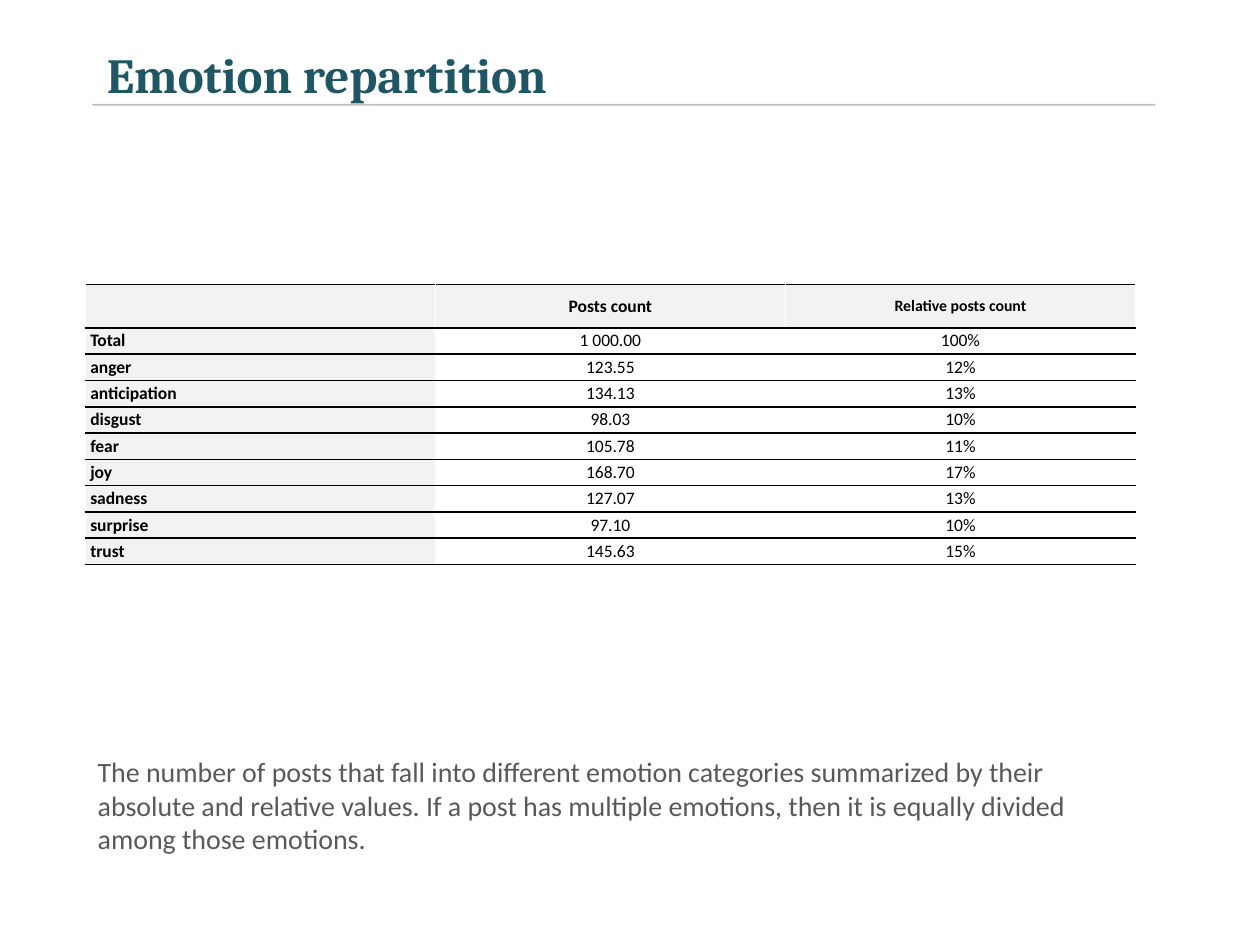
from pptx import Presentation
from pptx.dml.color import RGBColor
from pptx.enum.shapes import MSO_CONNECTOR
from pptx.enum.text import MSO_ANCHOR, MSO_AUTO_SIZE, PP_ALIGN
from pptx.oxml import parse_xml
from pptx.oxml.ns import nsdecls
from pptx.util import Cm, Pt

# Content
TITLE = "Emotion repartition"
HEAD = ("", "Posts count", "Relative posts count")
ROWS = [
    ("Total", "1 000.00", "100%"),
    ("anger", "123.55", "12%"),
    ("anticipation", "134.13", "13%"),
    ("disgust", "98.03", "10%"),
    ("fear", "105.78", "11%"),
    ("joy", "168.70", "17%"),
    ("sadness", "127.07", "13%"),
    ("surprise", "97.10", "10%"),
    ("trust", "145.63", "15%"),
]
NOTE = ("The number of posts that fall into different emotion categories "
        "summarized by their absolute and relative values. If a post has "
        "multiple emotions, then it is equally divided among those emotions.")

# Layout in cm
LEFT, WIDE = 1.72, 21.17
TOP, HEAD_H, ROW_H = 5.74, 0.87, 0.53


def rgb(code):
    return RGBColor.from_string(code)


def style(par, size, color, face="Calibri", bold=False, align=PP_ALIGN.LEFT):
    par.alignment = align
    font = par.font
    font.name, font.size, font.bold = face, Pt(size), bold
    font.color.rgb = rgb(color)


def rule(cell, side):
    """Draw a thin black border on one side of a cell."""
    line = parse_xml(
        f'<a:{side} {nsdecls("a")} w="12700"><a:solidFill>'
        f'<a:srgbClr val="000000"/></a:solidFill></a:{side}>')
    props = cell._tc.get_or_add_tcPr()
    props.insert(0 if side == "lnT" else 1, line)


def fill_cell(cell, text, row, col):
    label = col == 0
    cell.fill.solid()
    cell.fill.fore_color.rgb = rgb("F2F2F2" if label or row == 0 else "FFFFFF")
    cell.vertical_anchor = MSO_ANCHOR.MIDDLE
    cell.margin_left = Cm(0.1 if label else 0)
    cell.margin_right = Cm(0)
    cell.margin_top = cell.margin_bottom = Cm(0.05)
    rule(cell, "lnT")
    rule(cell, "lnB")
    if text:
        cell.text = text
        style(cell.text_frame.paragraphs[0],
              9 if (row, col) == (0, 2) else 10, "000000",
              bold=label or row == 0,
              align=PP_ALIGN.LEFT if label else PP_ALIGN.CENTER)


deck = Presentation()
deck.slide_width, deck.slide_height = Cm(25.4), Cm(19.05)
slide = deck.slides.add_slide(deck.slide_layouts[5])
shapes = slide.shapes

# Title
title = shapes.title
title.left, title.top, title.width, title.height = (
    Cm(1.9), Cm(0), Cm(21.17), Cm(2.11))
frame = title.text_frame
frame.text = TITLE
frame.word_wrap = True
frame.auto_size = MSO_AUTO_SIZE.SHAPE_TO_FIT_TEXT
frame.vertical_anchor = MSO_ANCHOR.TOP
frame.margin_top, frame.margin_bottom = Cm(0.9), Cm(0)
style(frame.paragraphs[0], 28, "205564", "Cambria", True)

# Line under the title
line = shapes.add_connector(MSO_CONNECTOR.STRAIGHT,
                            Cm(1.86), Cm(2.11), Cm(23.29), Cm(2.11))
line.line.width = Pt(1)
line.line.color.rgb = rgb("7F7F7F")
shade = line.line.color._xFill.find(".//{*}srgbClr")
shade.append(parse_xml(f'<a:alpha {nsdecls("a")} val="49000"/>'))
line._element.spPr.append(parse_xml(f'<a:effectLst {nsdecls("a")}/>'))

# Table
data = [HEAD] + ROWS
grid = shapes.add_table(len(data), len(HEAD), Cm(LEFT), Cm(TOP), Cm(WIDE),
                        Cm(HEAD_H + ROW_H * len(ROWS))).table
grid.first_row = grid.horz_banding = False
for col in grid.columns:
    col.width = Cm(WIDE / len(HEAD))
for r, texts in enumerate(data):
    grid.rows[r].height = Cm(ROW_H if r else HEAD_H)
    for c, text in enumerate(texts):
        fill_cell(grid.cell(r, c), text, r, c)

# Note
note = shapes.add_textbox(Cm(LEFT), Cm(15.09), Cm(WIDE), Cm(2.64)).text_frame
note.word_wrap = True
note.auto_size = MSO_AUTO_SIZE.SHAPE_TO_FIT_TEXT
note.text = NOTE
style(note.paragraphs[0], 16, "595959")

deck.save("out.pptx")
